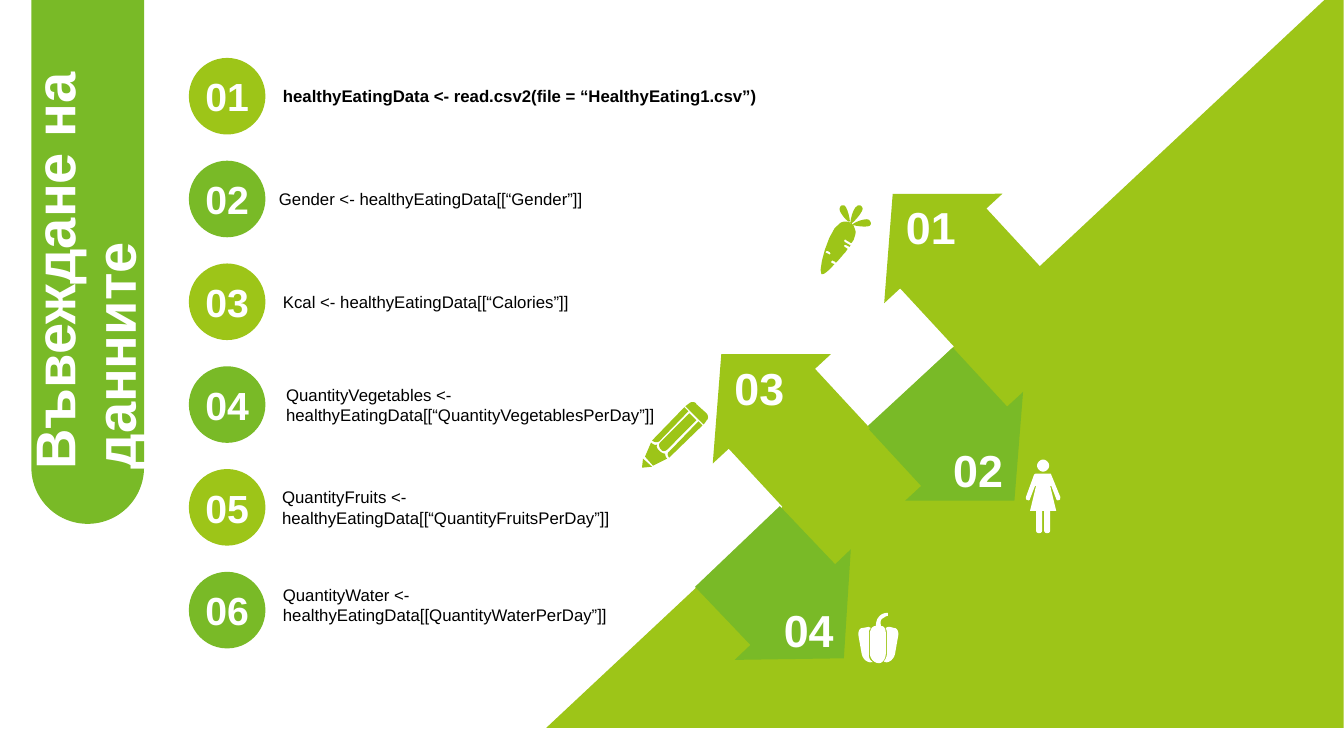
import pptx
import pptx.util
import pptx.dml.color
import pptx.enum.shapes
import pptx.enum.text
from dataclasses import dataclass
from pptx.util import Cm

SHAPE = pptx.enum.shapes.MSO_SHAPE
ALIGN = pptx.enum.text.PP_ALIGN
ANCHOR = pptx.enum.text.MSO_ANCHOR


@dataclass(frozen=True)
class Theme:
    font: str = "Arial"
    green: str = "79BA27"
    lime: str = "9DC518"
    white: str = "FFFFFF"
    black: str = "000000"
    title: int = 40
    arrow: int = 32
    number: int = 28
    code: int = 12


THEME = Theme()
TITLE = "Въвеждане на данните"
STEPS = [
    ("healthyEatingData <- read.csv2(file = “HealthyEating1.csv”)", 6.88, 13.16, 0),
    ("Gender <- healthyEatingData[[“Gender”]]", 6.78, 8.48, 0),
    ("Kcal <- healthyEatingData[[“Calories”]]", 6.88, 8.48, 0),
    ("QuantityVegetables <- healthyEatingData[[“QuantityVegetablesPerDay”]]", 6.96, 10.11, 0),
    ("QuantityFruits <- healthyEatingData[[“QuantityFruitsPerDay”]]", 6.86, 9.25, 0),
    ("QuantityWater <- healthyEatingData[[QuantityWaterPerDay”]]", 6.88, 10.11, 0.14),
]
DOWN = dict(preset=SHAPE.RIGHT_ARROW, size=(3.89, 4.04), color=THEME.green, align=ALIGN.RIGHT)
UP = dict(preset=SHAPE.LEFT_ARROW, size=(3.91, 4.06), color=THEME.lime, align=ALIGN.LEFT)
ARROWS = [
    ("02", DOWN, (22.3, 9.17), 47.3, (23.24, 11.15)),
    ("03", UP, (17.55, 8.33), 47.2, (18.26, 9.07)),
    ("04", DOWN, (17.98, 13.16), 46.4, (18.97, 15.19)),
    ("01", UP, (21.87, 4.29), 47.2, (22.58, 5.03)),
]
HILLSIDE = ["542,722 L 1314,0 1333,0 1333,722"]
CARROT = [
    "821,249 C 821,249 820,249 820,249 819,250 819,251 820,251 L 822,252 "
    "C 823,253 824,252 824,252 824,251 824,251 823,250",
    "844,221 C 847,223 848,226 849,230 849,232 848,235 847,238 L 845,241 844,241 839,238 "
    "C 839,237 838,238 838,238 837,239 838,240 838,240 L 843,243 844,243 843,245 839,243 "
    "C 839,243 838,243 838,243 837,244 838,245 838,245 L 841,247 839,250 "
    "C 836,253 834,256 831,259 L 829,261 C 829,260 829,260 829,260 L 827,259 "
    "C 826,258 825,259 825,259 825,260 825,261 825,261 L 828,262 "
    "C 822,269 817,273 815,272 811,270 822,226 834,221 838,219 841,220 844,221",
    "851,204 C 853,203 855,204 856,207 856,211 845,223 844,222 843,221 846,206 851,204",
    "862,218 C 864,220 865,222 863,224 860,226 847,224 846,223 846,221 859,216 862,218",
    "838,204 C 835,203 834,204 833,207 832,210 841,221 843,220 844,220 841,206 838,204",
]
PEPPER = [
    "863,630 C 863,625 865,621 869,621 L 874,621 C 878,621 879,625 879,630 L 879,648 "
    "C 879,653 876,658 872,658 867,658 863,653 863,648",
    "869,621 C 869,618 870,614 872,612 874,609 878,608 881,608 L 881,611 "
    "C 879,611 877,613 875,614 873,616 874,619 874,621",
    "862,622 L 864,623 C 862,625 862,627 862,630 L 862,649 C 862,652 863,655 865,656 "
    "L 866,657 865,657 C 861,658 856,654 855,649 L 852,632 C 851,628 852,623 856,623",
    "881,622 L 883,622 887,623 C 891,623 892,628 891,632 L 888,649 "
    "C 887,654 882,658 878,657 L 877,656 C 879,654 880,651 880,648 L 880,630 "
    "C 880,628 880,625 879,624 L 879,623",
]
WOMAN = [
    "1029,470 L 1041,470 C 1043,470 1043,470 1043,471 L 1052,493 "
    "C 1052,495 1052,496 1051,496 1049,497 1048,496 1048,495 L 1043,482 1042,482 1048,507 "
    "1042,507 1042,526 C 1042,528 1041,529 1039,529 1037,529 1036,528 1036,526 "
    "L 1036,507 1034,507 1034,526 C 1034,528 1033,529 1031,529 1029,529 1028,528 1028,526 "
    "L 1028,507 1022,507 1028,482 1027,482 1022,495 "
    "C 1022,496 1021,497 1019,496 1018,496 1018,495 1018,493 L 1026,471 "
    "C 1027,470 1027,470 1029,470",
    "1035,456 C 1038,456 1041,459 1041,462 1041,465 1038,468 1035,468 "
    "1032,468 1029,465 1029,462 1029,459 1032,456 1035,456",
]
PENCIL = [
    "638,455 L 647,463 637,464",
    "646,439 C 648,441 650,442 652,441 651,443 652,445 654,447 656,449 658,450 660,450 "
    "660,451 660,453 662,455 L 648,462 640,453",
    "693,418 L 697,422 664,454 C 662,452 662,449 664,448",
    "684,410 L 691,417 662,446 C 660,448 657,448 656,446 654,444 653,441 655,439",
    "679,404 L 683,408 654,438 C 652,439 649,439 647,437",
    "687,399 C 689,399 690,399 691,401 L 701,410 C 703,412 703,416 701,417 "
    "700,419 699,420 698,421 L 680,403 684,400 C 685,399 686,399 687,399",
]
ICONS = [(CARROT, THEME.lime), (PEPPER, THEME.white), (WOMAN, THEME.white), (PENCIL, THEME.lime)]


def paint(part, color):
    part.shadow.inherit = False
    part.fill.solid()
    part.fill.fore_color.rgb = pptx.dml.color.RGBColor.from_string(color)
    part.line.fill.background()
    return part


def write(part, text, *, size, color, bold=False, align=ALIGN.LEFT, inset=(0.25, 0.13), spacing=1.0):
    frame = part.text_frame
    frame.auto_size = pptx.enum.text.MSO_AUTO_SIZE.NONE
    frame.word_wrap = True
    frame.vertical_anchor = ANCHOR.MIDDLE
    frame.margin_left = frame.margin_right = Cm(inset[0])
    frame.margin_top = frame.margin_bottom = Cm(inset[1])
    paragraph = frame.paragraphs[0]
    paragraph.alignment = align
    paragraph.line_spacing = spacing
    run = paragraph.add_run()
    run.text = text
    run.font.name = THEME.font
    run.font.size = pptx.util.Pt(size)
    run.font.bold = bold
    run.font.color.rgb = pptx.dml.color.RGBColor.from_string(color)


def trace(contour, steps=6):
    points = []
    for stroke in contour.replace("L", "|L").replace("C", "|C").split("|"):
        pairs = [tuple(map(int, pair.split(","))) for pair in stroke.strip("LC ").split()]
        if not stroke.startswith("C"):
            points += pairs
            continue
        for first, second, end in zip(pairs[::3], pairs[1::3], pairs[2::3]):
            start = points[-1]
            for t in (step / steps for step in range(1, steps + 1)):
                weights = ((1 - t) ** 3, 3 * t * (1 - t) ** 2, 3 * t * t * (1 - t), t ** 3)
                corners = (start, first, second, end)
                points.append(tuple(sum(w * c[axis] for w, c in zip(weights, corners)) for axis in (0, 1)))
    unit = Cm(2.54) / 100
    return [(round(x * unit), round(y * unit)) for x, y in points]


def add_outline(shapes, outline, color):
    contours = [trace(contour) for contour in outline]
    builder = shapes.build_freeform(*contours[0][0], scale=1.0)
    for index, points in enumerate(contours):
        if index:
            builder.move_to(*points[0])
        builder.add_line_segments(points[1:], close=True)
    paint(builder.convert_to_shape(), color)


def add_title(shapes):
    band = paint(shapes.add_shape(SHAPE.ROUND_2_SAME_RECTANGLE, Cm(0.79), 0, Cm(2.84), Cm(13.2)), THEME.green)
    band.rotation = 180
    band.adjustments[0] = 0.5
    title = shapes.title
    title.element.addprevious(band.element)
    title.left, title.top, title.width, title.height = Cm(-3.84), Cm(5.03), Cm(12.09), Cm(2.01)
    title.rotation = 270
    write(title, TITLE, size=THEME.title, color=THEME.white, bold=True, spacing=0.9)


def add_steps(shapes):
    diameter, pitch = 1.93, 2.59
    for index, (code, left, width, lift) in enumerate(STEPS):
        top = 1.46 + index * pitch
        color = THEME.green if index % 2 else THEME.lime
        circle = shapes.add_shape(SHAPE.OVAL, Cm(4.76), Cm(top), Cm(diameter), Cm(diameter))
        write(paint(circle, color), f"{index + 1:02}", size=THEME.number, color=THEME.white,
              bold=True, align=ALIGN.CENTER, inset=(0, 0))
        box = shapes.add_textbox(Cm(left), Cm(top - lift), Cm(width), Cm(diameter))
        write(box, code, size=THEME.code, color=THEME.black, bold=index == 0)


def add_arrows(shapes):
    for number, style, corner, angle, label_corner in ARROWS:
        arrow = shapes.add_shape(style["preset"], *map(Cm, corner + style["size"]))
        paint(arrow, style["color"]).rotation = angle
        arrow.adjustments[0], arrow.adjustments[1] = 0.73, 0.48
        label = shapes.add_textbox(*map(Cm, label_corner), Cm(2.29), Cm(1.37))
        write(label, number, size=THEME.arrow, color=THEME.white, bold=True,
              align=style["align"], inset=(0.25, 0))


def main():
    """Build the data entry slide and save it."""
    deck = pptx.Presentation()
    deck.slide_width, deck.slide_height = Cm(33.87), Cm(19.05)
    shapes = deck.slides.add_slide(deck.slide_layouts[5]).shapes
    add_title(shapes)
    add_outline(shapes, HILLSIDE, THEME.lime)
    add_arrows(shapes)
    add_steps(shapes)
    for outline, color in ICONS:
        add_outline(shapes, outline, color)
    deck.save("out.pptx")


if __name__ == "__main__":
    main()
